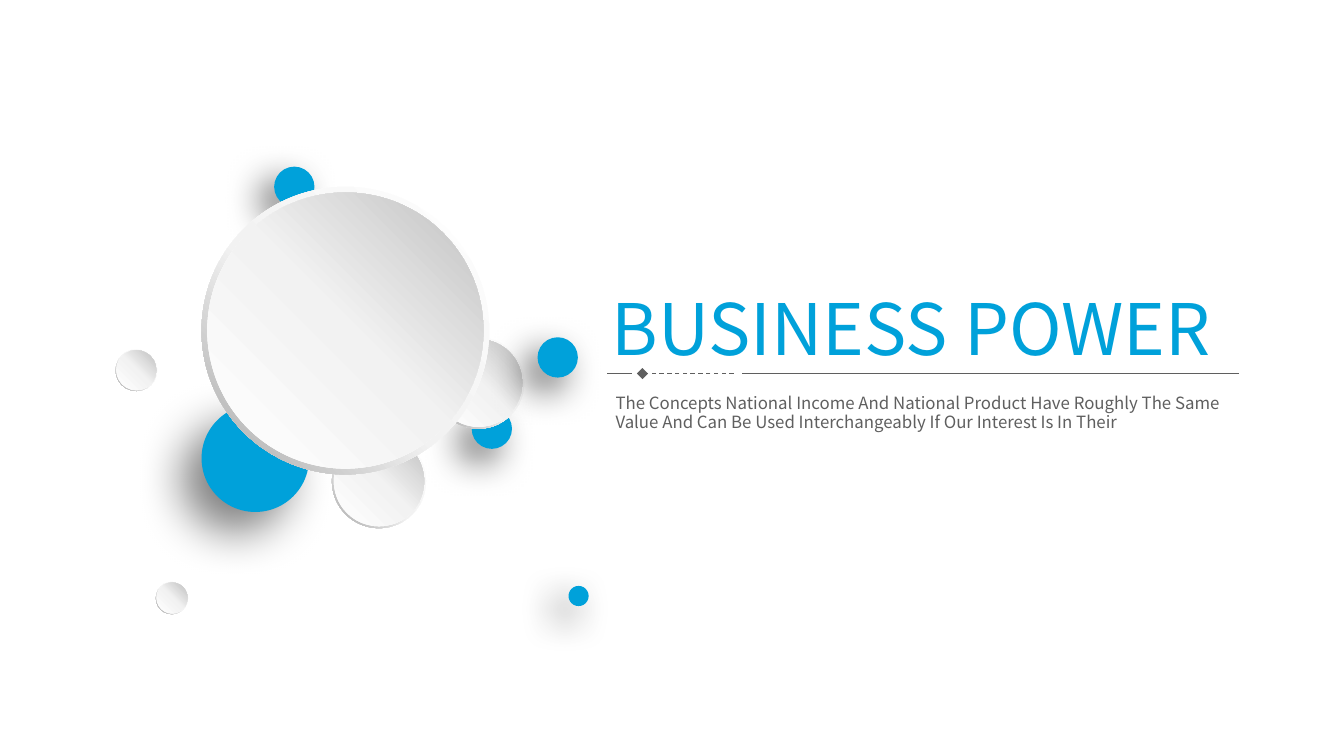
from pptx import Presentation
from pptx.dml.color import RGBColor
from pptx.enum.dml import MSO_LINE
from pptx.enum.shapes import MSO_CONNECTOR, MSO_SHAPE
from pptx.enum.text import MSO_ANCHOR, MSO_AUTO_SIZE, PP_ALIGN
from pptx.oxml import parse_xml
from pptx.oxml.ns import nsdecls, qn
from pptx.util import Inches, Pt
from lxml.etree import SubElement

THEME = {
    "font": "Noto Sans CJK SC",
    "blue": RGBColor.from_string("00A1DA"),
    "gray": RGBColor.from_string("5F5F5F"),
    "title": Pt(38),
    "body": Pt(9),
    "rule": Pt(0.6),
    "rim": ([(0, "FFFFFF"), (55, "F2F2F2"), (100, "A6A6A6")], 135),
    "face": ([(0, "FFFFFF"), (51, "F2F2F2"), (100, "BFBFBF")], 315),
}

# Widescreen slide, 16 to 9
deck = Presentation()
deck.slide_width = Inches(10)
deck.slide_height = Inches(10) * 9 // 16
slide = deck.slides.add_slide(deck.slide_layouts[0])
shapes = slide.shapes


def add_disc(home, kind, left, top, size):
    disc = home.add_shape(kind, Inches(left), Inches(top), Inches(size), Inches(size))
    disc.shadow.inherit = False
    disc.line.fill.background()
    return disc


def shade(disc, grad):
    stops, angle = grad
    marks = "".join(
        f'<a:gs pos="{pos * 1000}"><a:srgbClr val="{tint}"/></a:gs>' for pos, tint in stops
    )
    props = disc._element.spPr
    props.find(qn("a:prstGeom")).addnext(parse_xml(
        f'<a:gradFill {nsdecls("a")} rotWithShape="1"><a:gsLst>{marks}</a:gsLst>'
        f'<a:lin ang="{angle * 60000}" scaled="0"/></a:gradFill>'
    ))


# Discs from back to front: kind, left, top, size
soft, deep = (60, 20, 10), (50, 25, 15)  # shadow opacity, blur, distance
discs = [
    (deep, 1.5, 3.01, 0.8),
    (soft, 3.51, 3.04, 0.3),
    ("ball", 3.22, 2.51, 0.68),
    ("ball", 1.16, 4.33, 0.24),
    ("ball", 0.86, 2.6, 0.31),
    (soft, 4, 2.51, 0.3),
    (soft, 4.23, 4.36, 0.15),
    ("ball", 2.47, 3.23, 0.7),
    (soft, 2.04, 1.24, 0.3),
    ("ball", 1.5, 1.39, 2.14),
]
for kind, left, top, size in discs:
    if kind == "ball":
        group = shapes.add_group_shape().shapes
        rim = add_disc(group, MSO_SHAPE.DONUT, left, top, size)
        rim.adjustments[0] = 0.05
        shade(rim, THEME["rim"])
        edge = size * 0.02
        face = add_disc(group, MSO_SHAPE.OVAL, left + edge, top + edge, size - 2 * edge)
        shade(face, THEME["face"])
    else:
        alpha, blur, dist = kind
        dot = add_disc(shapes, MSO_SHAPE.OVAL, left, top, size)
        dot.fill.solid()
        dot.fill.fore_color.rgb = THEME["blue"]
        dot._element.spPr.find(qn("a:effectLst")).append(parse_xml(
            f'<a:outerShdw {nsdecls("a")} blurRad="{Pt(blur)}" dist="{Pt(dist)}" '
            f'dir="{135 * 60000}" algn="tr" rotWithShape="0"><a:srgbClr val="000000">'
            f'<a:alpha val="{alpha * 1000}"/></a:srgbClr></a:outerShdw>'
        ))

# Rule in three parts, the dashed one ending in a diamond
rules = shapes.add_group_shape().shapes
level = Inches(2.78)
for start, end, dashed in [(9.22, 5.52, False), (5.46, 4.78, True), (4.7, 4.52, False)]:
    rule = rules.add_connector(
        MSO_CONNECTOR.STRAIGHT, Inches(start), level, Inches(end), level
    )
    rule.line.color.rgb = THEME["gray"]
    rule.line.width = THEME["rule"]
    props = rule._element.spPr
    if dashed:
        rule.line.dash_style = MSO_LINE.DASH
        SubElement(props.find(qn("a:ln")), qn("a:tailEnd"), type="diamond")
    SubElement(props, qn("a:effectLst"))

# Title and body
texts = [
    (shapes.title, "BUSINESS POWER", (4.45, 2.06, 5.05, 0.74), (0.1, 0.05),
     "title", "blue", Pt(46)),
    (slide.placeholders[1],
     "The Concepts National Income And National Product Have Roughly The Same "
     "Value And Can Be Used Interchangeably If Our Interest Is In Their",
     (4.5, 2.88, 4.83, 0.38), (0.08, 0.04), "body", "gray", Pt(10.7)),
]
for box, words, place, inset, size, tint, pitch in texts:
    box.left, box.top, box.width, box.height = map(Inches, place)
    frame = box.text_frame
    frame.text = words
    side, end = map(Inches, inset)
    para = frame.paragraphs[0]
    formats = [
        (frame, {
            "word_wrap": True, "auto_size": MSO_AUTO_SIZE.NONE,
            "vertical_anchor": MSO_ANCHOR.TOP,
            "margin_left": side, "margin_right": side,
            "margin_top": end, "margin_bottom": end,
        }),
        (para, {"alignment": PP_ALIGN.LEFT, "space_before": Pt(0), "line_spacing": pitch}),
        (para.runs[0].font, {"name": THEME["font"], "size": THEME[size]}),
        (para.runs[0].font.color, {"rgb": THEME[tint]}),
    ]
    for item, values in formats:
        for key, value in values.items():
            setattr(item, key, value)

deck.save("out.pptx")
